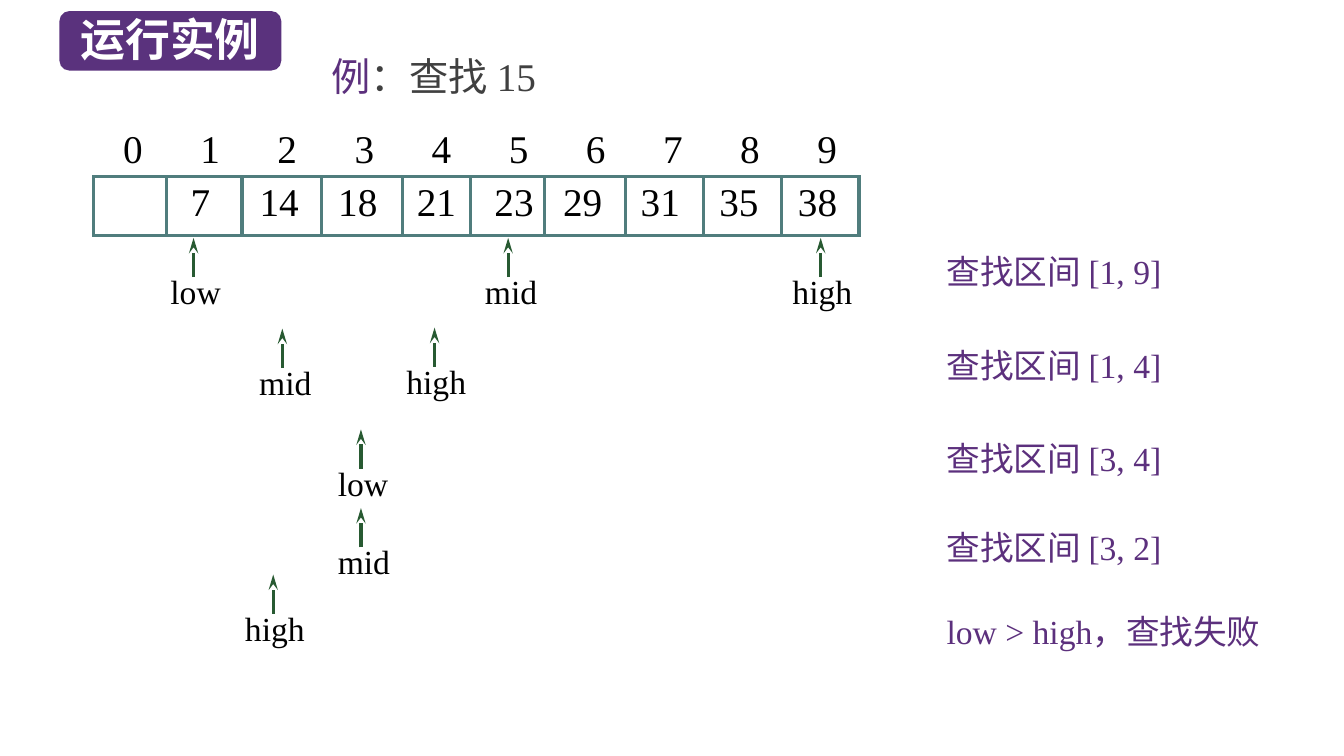
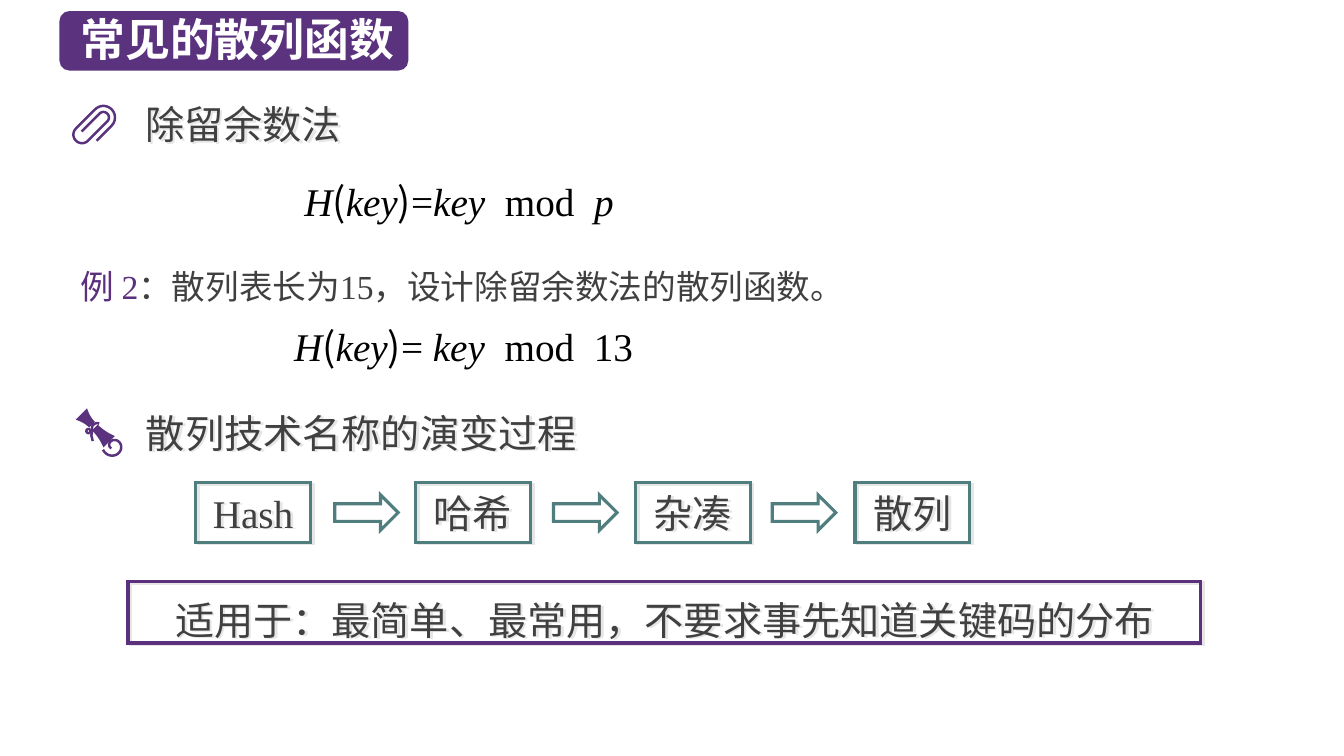
from copy import deepcopy
from math import cos, radians, sin

from lxml.etree import SubElement
from pptx import Presentation
from pptx.dml.color import RGBColor
from pptx.enum.shapes import MSO_CONNECTOR, MSO_SHAPE
from pptx.enum.text import MSO_ANCHOR, PP_ALIGN
from pptx.oxml import parse_xml
from pptx.oxml.ns import nsdecls, qn
from pptx.util import Inches, Pt

BAND_PURPLE = RGBColor(0x5A, 0x32, 0x7D)
TEXT_PURPLE = RGBColor(0x5C, 0x30, 0x7D)
TEAL = RGBColor(0x50, 0x7D, 0x7D)
GREEN = RGBColor(0x28, 0x5A, 0x32)
GRAY = RGBColor(0x40, 0x40, 0x40)
BLACK = RGBColor(0, 0, 0)
WHITE = RGBColor(0xFF, 0xFF, 0xFF)
SERIF = "Times New Roman"
SANS = "Noto Sans CJK SC"
LINE_WIDTH = Pt(2.25)
WIRE_WIDTH = Pt(1.75)
SHADOW = parse_xml(
    f'<a:outerShdw {nsdecls("a")} dist="28400" dir="1620000" algn="ctr" rotWithShape="0">'
    '<a:srgbClr val="E7E6E6"/></a:outerShdw>'
)
TEXT = {"size": Pt(28), "name": SERIF, "color": BLACK}
BODY = {**TEXT, "color": GRAY}
HEADING = {**BODY, "name": SANS}
LABEL = {**TEXT, "size": Pt(24)}
NOTE = {**LABEL, "color": TEXT_PURPLE}
ITALIC = {**TEXT, "italic": True}
BRACKET = {**TEXT, "name": SANS}
WIDE_SPACE = {**TEXT, "spacing": "700"}
TITLE = {"size": Pt(32), "name": SANS, "color": WHITE, "bold": True}


def write_text(shape, runs, align=PP_ALIGN.LEFT, **frame_values):
    frame = shape.text_frame
    for name, value in {"word_wrap": True, "vertical_anchor": MSO_ANCHOR.TOP, **frame_values}.items():
        setattr(frame, name, value)
    paragraph = frame.paragraphs[0]
    paragraph.alignment = align
    for text, values in runs:
        run = paragraph.add_run()
        run.text = text
        for name, value in values.items():
            if name == "color":
                run.font.color.rgb = value
            elif name == "spacing":
                run.font._element.set("spc", value)
            else:
                setattr(run.font, name, value)
        SubElement(run.font._element, qn("a:ea"), typeface=SANS)
    return paragraph


def sweep(center, start_angle, turn, start_radius, end_radius, steps=24):
    points = []
    for step in range(steps + 1):
        share = step / steps
        angle = radians(start_angle + turn * share)
        radius = start_radius + (end_radius - start_radius) * share
        points.append((center[0] + radius * cos(angle), center[1] + radius * sin(angle)))
    return points


presentation = Presentation()
presentation.slide_width = Inches(13.33)
presentation.slide_height = Inches(7.5)

slides = []
for title, width in (("运行实例", 2.2), ("常见的散列函数", 3.46)):
    slide = presentation.slides.add_slide(presentation.slide_layouts[6])
    band = slide.shapes.add_shape(
        MSO_SHAPE.ROUNDED_RECTANGLE, Inches(0.59), Inches(0.11), Inches(width), Inches(0.59))
    band.shadow.inherit = False
    band.fill.solid()
    band.fill.fore_color.rgb = BAND_PURPLE
    band.line.fill.background()
    write_text(band, [(title, TITLE)], margin_left=Inches(0.18), margin_top=0,
               margin_bottom=Inches(0.04), word_wrap=False, vertical_anchor=MSO_ANCHOR.MIDDLE)
    slides.append(slide)
search_slide, hash_slide = slides

array_left, array_top, array_width, array_height = 0.93, 1.75, 7.59, 0.59
array = search_slide.shapes.add_shape(
    MSO_SHAPE.RECTANGLE, Inches(array_left), Inches(array_top),
    Inches(array_width), Inches(array_height))
indexes = search_slide.shapes.add_textbox(Inches(array_left), Inches(1.22), Inches(7.65), Inches(0.41))
outlined_shapes = [(array, TEAL)]

index_centers = [1.32 + 0.765 * index for index in range(10)]
value_centers = [1.99, 2.77, 3.55, 4.33, 5.1, 5.78, 6.55, 7.33, 8.11]
values = [7, 14, 18, 21, 23, 29, 31, 35, 38]
for shape, centers, numbers in (
    (array, value_centers, values),
    (indexes, index_centers, range(10)),
):
    text = "".join(f"\t{number}" for number in numbers)
    paragraph = write_text(shape, [(text, TEXT)], margin_top=Inches(0.01), margin_bottom=Inches(0.01))
    tabs = SubElement(paragraph._p.get_or_add_pPr(), qn("a:tabLst"))
    for center in centers:
        SubElement(tabs, qn("a:tab"), pos=str(Inches(center - array_left - 0.1)), algn="ctr")

connectors = [
    (x, array_top, array_top + array_height, TEAL)
    for x in (1.65, 2.4, 3.19, 3.99, 4.67, 5.4, 6.2, 6.98, 7.75)
]
for label, x, tip in (
    ("low", 1.92, 2.36), ("mid", 5.04, 2.36), ("high", 8.14, 2.36),
    ("mid", 2.8, 3.26), ("high", 4.31, 3.25),
    ("low", 3.58, 4.26), ("mid", 3.58, 5.04), ("high", 2.71, 5.7),
):
    shift = 0.28 if label == "high" else 0.23
    box = search_slide.shapes.add_textbox(
        Inches(x - shift), Inches(tip + 0.33), Inches(0.65), Inches(0.47))
    write_text(box, [(label, LABEL)], margin_left=0, margin_top=0, margin_right=0, margin_bottom=0)
    connectors.append((x, tip + 0.39, tip, GREEN))

for x, start, end, color in connectors:
    connector = search_slide.shapes.add_connector(
        MSO_CONNECTOR.STRAIGHT, Inches(x), Inches(start), Inches(x), Inches(end))
    connector.line.color.rgb = color
    connector.line.width = LINE_WIDTH
    if color == GREEN:
        SubElement(connector.line._get_or_add_ln(), qn("a:tailEnd"), type="stealth", len="lg")
    SubElement(connector._element.spPr, qn("a:effectLst"))

key_in_brackets = [("H", ITALIC), ("(", BRACKET), ("key", ITALIC), (")", BRACKET)]
key_modulo = [("key", ITALIC), (" ", WIDE_SPACE), ("mod", TEXT), (" ", WIDE_SPACE)]
for slide, left, top, width, height, runs in (
    (search_slide, 3.19, 0.47, 2.34, 0.57, [("例", {**TEXT, "color": TEXT_PURPLE}), ("：查找 15", BODY)]),
    (search_slide, 9.29, 2.44, 2.74, 0.5, [("查找区间 [1, 9]", NOTE)]),
    (search_slide, 9.29, 3.37, 2.74, 0.5, [("查找区间 [1, 4]", NOTE)]),
    (search_slide, 9.29, 4.3, 2.74, 0.5, [("查找区间 [3, 4]", NOTE)]),
    (search_slide, 9.29, 5.18, 2.74, 0.5, [("查找区间 [3, 2]", NOTE)]),
    (search_slide, 9.29, 6.01, 3.53, 0.5, [("low > high，查找失败", NOTE)]),
    (hash_slide, 2.92, 1.71, 5.17, 0.57, key_in_brackets + [("=", TEXT)] + key_modulo + [("p", ITALIC)]),
    (hash_slide, 2.82, 3.15, 5.17, 0.57, key_in_brackets + [("= ", TEXT)] + key_modulo + [("13", TEXT)]),
):
    box = slide.shapes.add_textbox(Inches(left), Inches(top), Inches(width), Inches(height))
    write_text(box, runs)

shadowed_shapes = []
for heading, left, top in (("除留余数法", 1.34, 0.95), ("散列技术名称的演变过程", 1.35, 4.01)):
    box = hash_slide.shapes.add_textbox(Inches(left), Inches(top), Inches(7), Inches(0.57))
    write_text(box, [(heading, HEADING)])
    shadowed_shapes.append(box)

example = hash_slide.shapes.add_textbox(Inches(0.7), Inches(2.51), Inches(11.84), Inches(0.59))
paragraph = write_text(example, [
    ("例 2", NOTE),
    ("：散列表长为15，设计除留余数法的散列函数。", {**LABEL, "color": GRAY}),
])
paragraph.line_spacing = 1.2

names = ["Hash", "哈希", "杂凑", "散列"]
frames = [(name, 1.94 + 2.18 * index, 4.79, 1.14, 0.59, TEAL, MSO_ANCHOR.MIDDLE, 1)
          for index, name in enumerate(names)]
frames.append(("适用于：最简单、最常用，不要求事先知道关键码的分布",
               1.27, 5.77, 10.64, 0.61, TEXT_PURPLE, MSO_ANCHOR.TOP, 1.2))
for text, left, top, width, height, color, anchor, spacing in frames:
    frame = hash_slide.shapes.add_shape(
        MSO_SHAPE.RECTANGLE, Inches(left), Inches(top), Inches(width), Inches(height))
    paragraph = write_text(frame, [(text, BODY)], PP_ALIGN.CENTER, vertical_anchor=anchor)
    paragraph.line_spacing = spacing
    outlined_shapes.append((frame, color))
    shadowed_shapes.append(frame)

for index in range(len(names) - 1):
    arrow = hash_slide.shapes.add_shape(
        MSO_SHAPE.RIGHT_ARROW, Inches(3.32 + 2.17 * index), Inches(4.91), Inches(0.63), Inches(0.35))
    outlined_shapes.append((arrow, TEAL))

for shape, color in outlined_shapes:
    shape.shadow.inherit = False
    shape.fill.background()
    shape.line.color.rgb = color
    shape.line.width = LINE_WIDTH
    SubElement(shape.line._get_or_add_ln(), qn("a:miter"), lim="800000")

for shape in shadowed_shapes:
    shape.shadow.inherit = False
    shape._element.spPr.find(qn("a:effectLst")).append(deepcopy(SHADOW))

clip_lanes = [0.13, -0.1, 0.07, -0.04]
clip_bends = [0.12, -0.15, 0.12]
clip_wire = [(-0.09, clip_lanes[0])]
for index, bend in enumerate(clip_bends):
    lane, next_lane = clip_lanes[index:index + 2]
    radius = abs(lane - next_lane) / 2
    clip_wire += sweep((bend, (lane + next_lane) / 2), 90 - 180 * index, -180, radius, radius)
clip_wire.append((-0.13, clip_lanes[-1]))

waist, flare, steps = 0.04, 0.04, 8
scroll_flares = []
for start, length in ((-0.01, -0.15), (0.03, 0.2)):
    edge = [(start + length * step / steps, waist + flare * (step / steps) ** 2)
            for step in range(steps + 1)]
    scroll_flares.append(edge + [(along, -across) for along, across in reversed(edge)])
scroll_curl = sweep((0.29, 0), 115, -390, 0.11, 0.03)
ribbon_loop = sweep((0.01, 0.07), 0, 360, 0.02, 0.02)
ribbon_tail = sweep((0.05, -0.01), 250, -138, 0.05, 0.05) + [(0.06, 0.08), (0.11, 0.11)]

clip_place = (0.93, 1.24, -45)
scroll_place = (0.92, 4.22, 45)
icon_parts = [(clip_wire, clip_place, False)]
icon_parts += [(outline, scroll_place, True) for outline in scroll_flares]
icon_parts += [(wire, scroll_place, False) for wire in (scroll_curl, ribbon_loop, ribbon_tail)]
for points, (center_x, center_y, tilt), filled in icon_parts:
    cosine, sine = cos(radians(tilt)), sin(radians(tilt))
    corners = [
        (Inches(center_x + along * cosine - across * sine),
         Inches(center_y + along * sine + across * cosine))
        for along, across in points
    ]
    builder = hash_slide.shapes.build_freeform(*corners[0])
    builder.add_line_segments(corners[1:], close=filled)
    part = builder.convert_to_shape()
    part.shadow.inherit = False
    if filled:
        part.fill.solid()
        part.fill.fore_color.rgb = BAND_PURPLE
        part.line.fill.background()
    else:
        part.fill.background()
        part.line.color.rgb = BAND_PURPLE
        part.line.width = WIRE_WIDTH

presentation.save("out.pptx")
